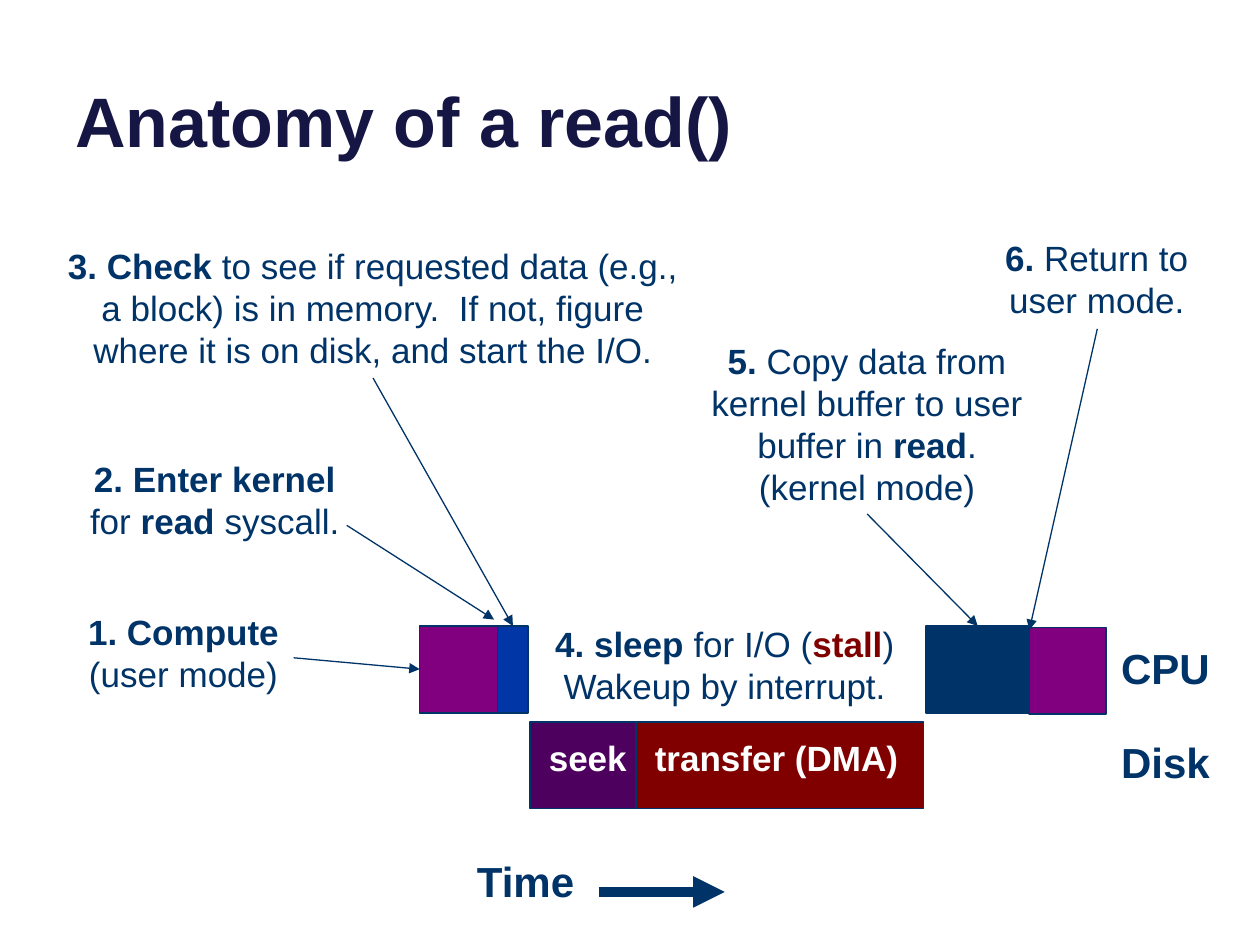
from dataclasses import dataclass

from lxml.etree import SubElement
from pptx import Presentation
from pptx.dml.color import RGBColor as Color
from pptx.enum.shapes import MSO_CONNECTOR as Connector, MSO_SHAPE as Shape
from pptx.enum.text import MSO_ANCHOR as Anchor, PP_ALIGN as Align
from pptx.oxml.ns import qn
from pptx.util import Cm, Pt


@dataclass(frozen=True)
class Theme:
    """Colours, font and type sizes of the slide."""
    font: str = "Arial"
    title: str = "161645"
    navy: str = "003367"
    blue: str = "0036A6"
    user: str = "800080"
    seek: str = "4E005F"
    stall: str = "800000"
    white: str = "FFFFFF"
    title_size: int = 40
    label_size: int = 24
    body_size: int = 20


@dataclass(frozen=True)
class Bold:
    """A bold span, with its own colour if one is given."""
    text: str
    color: str = ""


THEME = Theme()
CPU_TOP, DISK_TOP, BAR_HEIGHT = 12.62, 14.55, 1.75

BARS = [
    (10.03, CPU_TOP, 0.62, THEME.blue),
    (8.46, CPU_TOP, 1.57, THEME.user),
    (10.69, DISK_TOP, 2.14, THEME.seek),
    (12.83, DISK_TOP, 5.79, THEME.stall),
    (18.67, CPU_TOP, 2.08, THEME.navy),
    (20.75, CPU_TOP + 0.03, 1.55, THEME.user),
]

STEPS = [
    (0.84, 12.19, 5.72, 1.96, [[Bold("1. Compute")], ["(user mode)"]]),
    (1.47, 9.09, 5.72, 1.96,
     [[Bold("2. Enter kernel "), "for", Bold(" read "), "syscall."]]),
    (1.07, 4.8, 12.9, 2.82,
     [[Bold("3. Check"), " to see if requested data (e.g., a block) is in memory.  "
       "If not, figure where it is on disk, and start the I/O."]]),
    (10.8, 12.42, 7.62, 1.96,
     [[Bold("4. sleep "), "for I/O (", Bold("stall", THEME.stall), ")"],
      ["Wakeup by interrupt."]]),
    (13.77, 6.71, 7.42, 3.68,
     [[Bold("5. "), "Copy data from kernel buffer to user buffer in ",
       Bold("read"), "."],
      ["(kernel mode)"]]),
    (19.25, 4.65, 5.72, 1.96, [[Bold("6."), " Return to user mode."]]),
]

DISK_LABELS = [(10.16, 3.38, "seek"), (12.9, 5.51, "transfer (DMA)")]
AXIS_LABELS = [(21.59, 12.83, "CPU"), (21.59, 14.73, "Disk"), (8.69, 17.12, "Time")]

POINTERS = [
    (5.92, 13.26, 8.46, 13.49),
    (6.99, 10.59, 9.96, 12.49),
    (7.52, 7.62, 10.34, 12.62),
    (17.48, 10.36, 19.71, 12.62),
    (22.12, 6.63, 20.75, 12.7),
]


def add_bar(page, left, top, width, fill):
    """Draw one busy period on the timeline."""
    bar = page.shapes.add_shape(Shape.RECTANGLE, Cm(left), Cm(top), Cm(width), Cm(BAR_HEIGHT))
    bar.shadow.inherit = False
    bar.fill.solid()
    bar.fill.fore_color.rgb = Color.from_string(fill)
    bar.line.color.rgb = Color.from_string(THEME.navy)
    bar.line.width = Pt(1)


def add_text(page, left, top, width, height, paragraphs, size=THEME.body_size,
             color=THEME.navy, align=Align.CENTER, anchor=Anchor.TOP):
    """Write paragraphs made of plain and bold spans."""
    box = page.shapes.add_textbox(Cm(left), Cm(top), Cm(width), Cm(height))
    frame = box.text_frame
    frame.word_wrap = True
    frame.vertical_anchor = anchor
    for index, spans in enumerate(paragraphs):
        para = frame.add_paragraph() if index else frame.paragraphs[0]
        para.alignment = align
        para.font.name = THEME.font
        para.font.size = Pt(size)
        para.font.color.rgb = Color.from_string(color)
        para.font.bold = all(isinstance(span, Bold) for span in spans)
        for span in spans:
            run = para.add_run()
            if not isinstance(span, Bold):
                run.text = span
                continue
            run.text = span.text
            if not para.font.bold:
                run.font.bold = True
            if span.color:
                run.font.color.rgb = Color.from_string(span.color)


def add_arrow(page, start_x, start_y, end_x, end_y, width=0.75):
    """Draw a straight arrow that points at its end."""
    arrow = page.shapes.add_connector(
        Connector.STRAIGHT, Cm(start_x), Cm(start_y), Cm(end_x), Cm(end_y))
    arrow.line.color.rgb = Color.from_string(THEME.navy)
    arrow.line.width = Pt(width)
    SubElement(arrow.line._get_or_add_ln(), qn("a:tailEnd"), type="triangle")
    SubElement(arrow._element.spPr, qn("a:effectLst"))


def main():
    """Build the timeline slide and save it."""
    deck = Presentation()
    deck.slide_width, deck.slide_height = Cm(25.4), Cm(19.05)
    page = deck.slides.add_slide(deck.slide_layouts[6])

    add_text(page, 1.27, -0.94, 22.86, 4.32, [[Bold("Anatomy of a read()")]],
             THEME.title_size, THEME.title, Align.LEFT, Anchor.BOTTOM)
    for bar in BARS:
        add_bar(page, *bar)
    for step in STEPS:
        add_text(page, *step)
    for left, width, label in DISK_LABELS:
        add_text(page, left, 14.73, width, 1.12, [[Bold(label)]], color=THEME.white)
    for left, top, label in AXIS_LABELS:
        add_text(page, left, top, 3.81, 1.28, [[Bold(label)]], THEME.label_size)
    for pointer in POINTERS:
        add_arrow(page, *pointer)
    add_arrow(page, 12.07, 17.98, 14.61, 17.98, width=6)

    deck.save("out.pptx")


if __name__ == "__main__":
    main()
